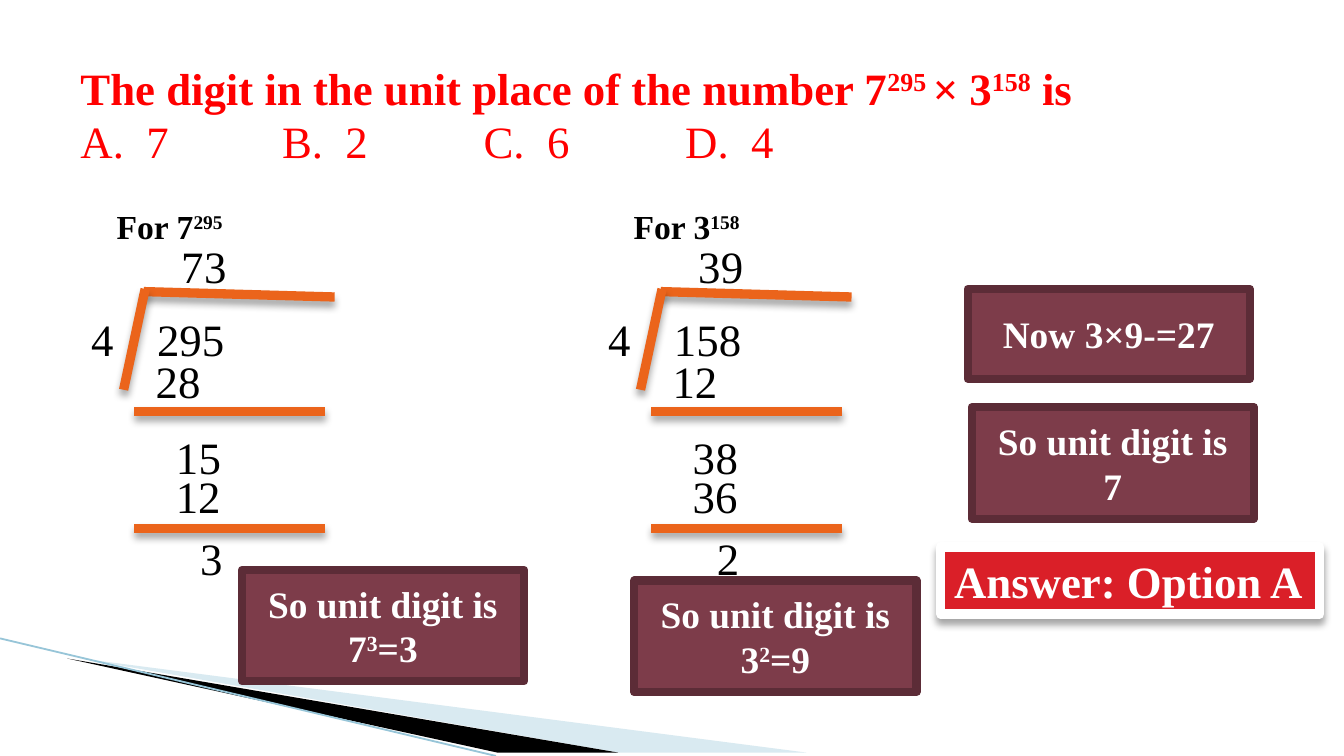
from dataclasses import dataclass

from pptx import Presentation
from pptx.dml.color import RGBColor
from pptx.enum.shapes import MSO_CONNECTOR as Connector, MSO_SHAPE as Shape
from pptx.enum.text import MSO_ANCHOR as Anchor, MSO_AUTO_SIZE as AutoSize, PP_ALIGN as Align
from pptx.oxml import parse_xml
from pptx.oxml.ns import nsdecls, qn
from pptx.util import Inches, Pt

WHITE = RGBColor(0xFF, 0xFF, 0xFF)
BLACK = RGBColor(0x00, 0x00, 0x00)
RED = RGBColor(0xFF, 0x00, 0x00)
ORANGE = RGBColor(0xEB, 0x64, 0x1B)
MAROON = RGBColor(0x7D, 0x3C, 0x4A)
DARK_MAROON = RGBColor(0x5C, 0x2C, 0x37)
ANSWER_RED = RGBColor(0xDA, 0x1F, 0x28)
PALE_BLUE = RGBColor(0xA0, 0xCB, 0xDC)
LINE_BLUE = RGBColor(0x97, 0xC5, 0xD8)

# The page is a grid of square cells, 100 columns by 56.25 rows
COLUMNS, ROWS = 100, 56.25
CELL = Inches(10) / COLUMNS
PANEL_STEP = 38.46  # columns between the two long divisions
SHADOW = ('<a:outerShdw blurRad="50800" dist="38100" dir="5400000" rotWithShape="0">'
          '<a:srgbClr val="000000"><a:alpha val="35000"/></a:srgbClr></a:outerShdw>')


@dataclass
class Area:
    left: float
    top: float
    width: float
    height: float

    def emu(self) -> list[int]:
        return [cells(n) for n in (self.left, self.top, self.width, self.height)]


@dataclass
class Division:
    title: str
    divisor: str
    dividend: str
    quotient: str
    first_product: str
    remainder: str
    second_product: str
    rest: str


@dataclass
class Card:
    area: Area
    text: str


def cells(count: float) -> int:
    return round(count * CELL)


def set_effects(shape, shadow: bool = False) -> None:
    """Replace the theme effects; call after fill and line are set."""
    effects = f'<a:effectLst {nsdecls("a")}>{SHADOW if shadow else ""}</a:effectLst>'
    shape.element.spPr.append(parse_xml(effects))


def write(para, text: str, size: float, color: RGBColor, bold: bool = False) -> None:
    """Add text whose parts between ^ marks are raised."""
    formats = {"name": "Times New Roman", "size": Pt(size), "bold": bold}
    for index, part in enumerate(text.split("^")):
        if not part:
            continue
        span = para.add_run()
        span.text = part
        for name, value in formats.items():
            setattr(span.font, name, value)
        span.font.color.rgb = color
        if index % 2:
            span.font._element.set("baseline", "30000")


def add_label(page, area: Area, text: str, size: float = 24, bold: bool = False) -> None:
    box = page.shapes.add_textbox(*area.emu())
    box.text_frame.word_wrap = False
    box.text_frame.auto_size = AutoSize.SHAPE_TO_FIT_TEXT
    write(box.text_frame.paragraphs[0], text, size, BLACK, bold)


def add_rule(shapes, start: tuple, end: tuple, color: RGBColor = ORANGE,
             weight: float = 5, shadow: bool = True) -> None:
    rule = shapes.add_connector(Connector.STRAIGHT, *map(cells, start + end))
    rule.line.color.rgb = color
    rule.line.width = Pt(weight)
    set_effects(rule, shadow)


def add_block(page, area: Area, fill: RGBColor, edge: RGBColor, weight: float,
              shadow: bool = False):
    block = page.shapes.add_shape(Shape.RECTANGLE, *area.emu())
    block.fill.solid()
    block.fill.fore_color.rgb = fill
    block.line.color.rgb = edge
    block.line.width = Pt(weight)
    set_effects(block, shadow)
    return block


def add_card(page, card: Card) -> None:
    block = add_block(page, card.area, MAROON, DARK_MAROON, 4.33)
    block.text_frame.word_wrap = True
    block.text_frame.vertical_anchor = Anchor.MIDDLE
    para = block.text_frame.paragraphs[0]
    para.alignment = Align.CENTER
    write(para, card.text, 20, WHITE, True)


def add_wedge(page, points: list[tuple], color: RGBColor, opacity: int = 100) -> None:
    builder = page.shapes.build_freeform(*points[0], scale=CELL)
    builder.add_line_segments(points[1:])
    wedge = builder.convert_to_shape()
    wedge.fill.solid()
    wedge.fill.fore_color.rgb = color
    wedge.line.fill.background()
    set_effects(wedge)
    if opacity < 100:
        tint = wedge.element.spPr.find(qn("a:solidFill"))[0]
        tint.append(parse_xml(f'<a:alpha {nsdecls("a")} val="{opacity * 1000}"/>'))


def add_division(page, work: Division, shift: float) -> None:
    # Bracket, then the two subtraction rules
    bracket = page.shapes.add_group_shape()
    add_rule(bracket.shapes, (10.7 + shift, 21.7), (24.9 + shift, 22.1))
    add_rule(bracket.shapes, (10.8 + shift, 21.5), (9.2 + shift, 29))
    for row in (30.6, 39.3):
        add_rule(page.shapes, (10 + shift, row), (24.2 + shift, row))

    # Numbers: text, column, row
    numbers = [
        (work.dividend, 10.7, 22.7),
        (work.divisor, 5.8, 22.7),
        (work.quotient[0], 12.5, 17.3),
        (work.first_product, 10.6, 25.8),
        (work.remainder[0], 12.1, 31.5),
        (work.remainder[1], 13.8, 31.5),
        (work.second_product, 12.1, 34.4),
        (work.rest, 13.9, 39),
        (work.quotient[1], 14.2, 17.3),
    ]
    for text, column, row in numbers:
        width = 2 + 1.7 * len(text)
        add_label(page, Area(column + shift, row, width, 5), text)
    add_label(page, Area(7.7 + shift, 14.8, 10.3, 4), work.title, 18, True)


DIVISIONS = [
    Division("For 7^295^", "4", "295", "73", "28", "15", "12", "3"),
    Division("For 3^158^", "4", "158", "39", "12", "38", "36", "2"),
]
CARDS = [
    Card(Area(18, 42.4, 21, 8.3), "So unit digit is 7^3^=3"),
    Card(Area(47.2, 43.2, 21, 8.3), "So unit digit is 3^2^=9"),
    Card(Area(72, 21.5, 21, 6.7), "Now 3×9-=27"),
    Card(Area(72.3, 30.3, 21, 8.3), "So unit digit is 7"),
]

deck = Presentation()
deck.slide_width, deck.slide_height = cells(COLUMNS), cells(ROWS)
page = deck.slides.add_slide(deck.slide_layouts[6])

# Corner decoration
add_wedge(page, [(5.5, 48.8), (59.5, ROWS), (45.6, ROWS)], PALE_BLUE, 40)
add_wedge(page, [(5.3, 48.7), (45.7, ROWS), (37.2, ROWS), (5.4, 48.8)], BLACK)
add_rule(page.shapes, (0, 47.5), (36.9, ROWS), LINE_BLUE, 0.95, False)

# Question and options
question = page.shapes.add_textbox(*Area(5, 4, 85.8, 9.1).emu())
question.text_frame.word_wrap = True
question.text_frame.auto_size = AutoSize.SHAPE_TO_FIT_TEXT
para = question.text_frame.paragraphs[0]
write(para, "The digit in the unit place of the number 7^295 ^× 3^158^ is", 24, RED, True)
para.add_line_break()
write(para, "A.  7\t\tB.  2\t\tC.  6\t\tD.  4", 24, RED)

# Long divisions and conclusions
for index, work in enumerate(DIVISIONS):
    add_division(page, work, index * PANEL_STEP)
for card in CARDS:
    add_card(page, card)

# Answer
answer = add_block(page, Area(70, 40.7, 28.2, 5), ANSWER_RED, WHITE, 5, True)
answer.text_frame.word_wrap = False
answer.text_frame.auto_size = AutoSize.SHAPE_TO_FIT_TEXT
answer.text_frame.vertical_anchor = Anchor.TOP
para = answer.text_frame.paragraphs[0]
para.alignment = Align.LEFT
write(para, "Answer: Option A", 24, WHITE, True)

deck.save("out.pptx")
